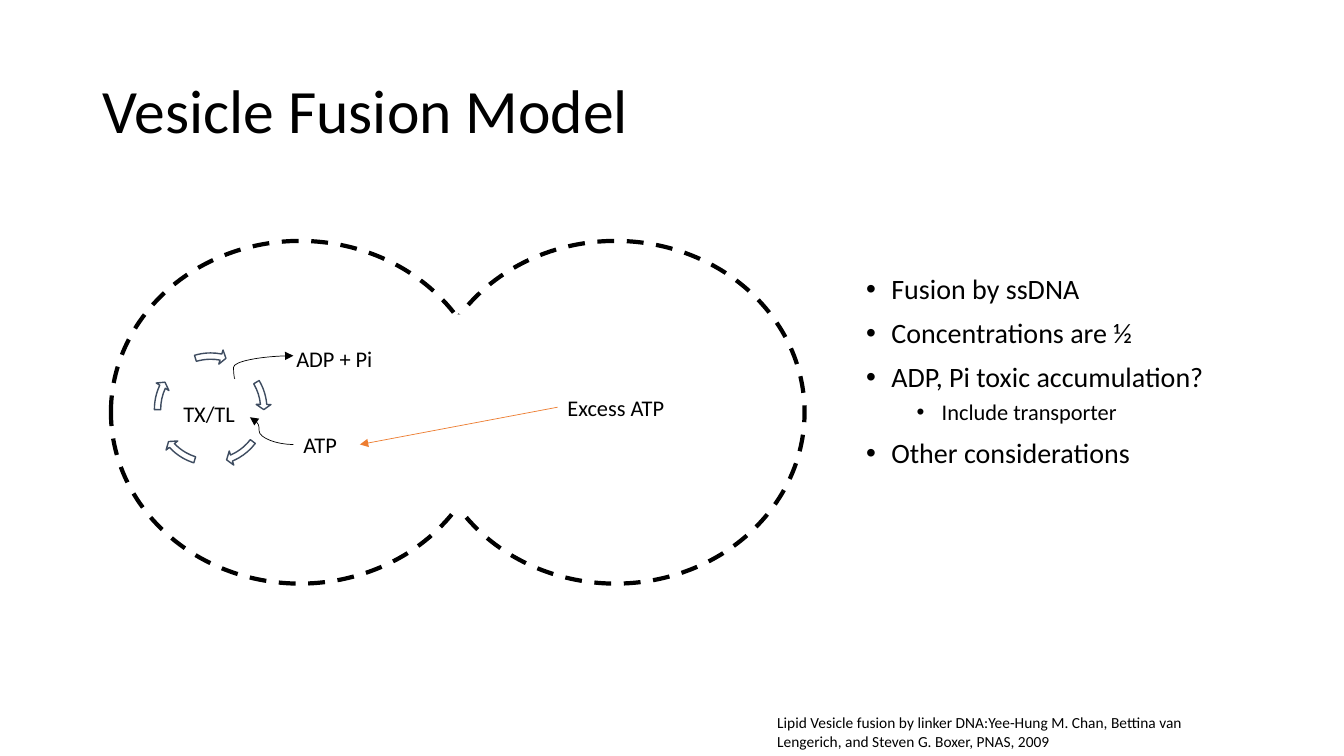
from lxml import etree
from pptx import Presentation
from pptx.dml.color import RGBColor
from pptx.enum.dml import MSO_LINE
from pptx.enum.shapes import MSO_CONNECTOR, MSO_SHAPE
from pptx.enum.text import MSO_ANCHOR, PP_ALIGN
from pptx.oxml.ns import qn
from pptx.util import Inches, Pt

OVAL, RECT, CYCLE_ARROW = MSO_SHAPE.OVAL, MSO_SHAPE.RECTANGLE, MSO_SHAPE.CIRCULAR_ARROW
CURVE, STRAIGHT = MSO_CONNECTOR.CURVE, MSO_CONNECTOR.STRAIGHT
BLACK = RGBColor(0x00, 0x00, 0x00)
WHITE = RGBColor(0xFF, 0xFF, 0xFF)
SLATE = RGBColor(0x3E, 0x4C, 0x60)
ORANGE = RGBColor(0xED, 0x7D, 0x31)

# Content
TITLE = "Vesicle Fusion Model"
BULLETS = [  # text, level
    ("Fusion by ssDNA", 0),
    ("Concentrations are ½", 0),
    ("ADP, Pi toxic accumulation?", 0),
    ("Include transporter", 1),
    ("Other considerations", 0),
]
LEVELS = [  # size, space before, left indent
    (20, 10, 0.25),
    (16, 5, 0.75),
]
LABELS = [  # text, box, size
    ("TX/TL", (1.72, 3.92, 1.11, 0.37), 16),
    ("ADP + Pi", (2.84, 3.38, 1.31, 0.37), 16),
    ("ATP", (2.91, 4.23, 0.66, 0.37), 16),
    ("Excess ATP", (5.53, 3.86, 1.44, 0.37), 16),
    ("Lipid Vesicle fusion by linker DNA:Yee-Hung M. Chan, Bettina van Lengerich, "
     "and Steven G. Boxer, PNAS, 2009", (7.61, 7.03, 4.53, 0.47), 11),
]
VESICLE_LEFTS = (1.1, 4.23)
FUSION_OPENING = (4.15, 3.12, 0.78, 1.93)
CYCLE_BOX = (1.49, 3.46, 1.2, 1.2)
CYCLE_ARCS = [  # end and start angle of each arrow
    (212.94, 197.65), (40.16, 22.52), (82.12, 64.49), (122.99, 107.7), (168.67, 151.98),
]
ARROWS = [  # kind, start and end, colour, bend in 1/100000 of the width
    (CURVE, (2.33, 3.76, 2.91, 3.53), BLACK, -2400),
    (CURVE, (2.91, 4.41, 2.48, 4.14), BLACK, 78900),
    (STRAIGHT, (5.53, 4.04, 3.57, 4.41), ORANGE, None),
]

deck = Presentation()
deck.slide_width, deck.slide_height = Inches(13.33), Inches(7.5)
page = deck.slides.add_slide(deck.slide_layouts[1])


def inches(values):
    return [Inches(value) for value in values]


def place(box, area):
    box.left, box.top, box.width, box.height = inches(area)


def style_font(para, size):
    for name, value in {"name": "Calibri", "size": Pt(size)}.items():
        setattr(para.font, name, value)
    para.font.color.rgb = BLACK


def add_plain_shape(kind, area, fill=None, line=None, width=1):
    shape = page.shapes.add_shape(kind, *inches(area))
    shape.shadow.inherit = False
    if fill is None:
        shape.fill.background()
    else:
        shape.fill.solid()
        shape.fill.fore_color.rgb = fill
    if line is None:
        shape.line.fill.background()
    else:
        shape.line.color.rgb = line
        shape.line.width = Pt(width)
    return shape


# Title
title = page.shapes.title
place(title, (0.92, 0.4, 11.5, 1.45))
title.text_frame.text = TITLE
title.text_frame.vertical_anchor = MSO_ANCHOR.MIDDLE
heading = title.text_frame.paragraphs[0]
heading.alignment, heading.line_spacing = PP_ALIGN.LEFT, 0.9
style_font(heading, 44)

# Bullet list
body = page.placeholders[1]
place(body, (8.49, 2.68, 4.53, 4.42))
for index, (text, level) in enumerate(BULLETS):
    frame = body.text_frame
    para = frame.paragraphs[0] if index == 0 else frame.add_paragraph()
    para.text, para.level, para.line_spacing = text, level, 0.9
    size, before, indent = LEVELS[level]
    para.space_before = Pt(before if index else 0)
    props = para._p.get_or_add_pPr()
    props.set("marL", str(Inches(indent)))
    props.set("indent", str(Inches(-0.25)))
    etree.SubElement(props, qn("a:buFont")).set("typeface", "Arial")
    etree.SubElement(props, qn("a:buChar")).set("char", "•")
    style_font(para, size)

# Two vesicles, opened where they fuse
for left in VESICLE_LEFTS:
    vesicle = add_plain_shape(OVAL, (left, 2.39, 3.75, 3.4), line=BLACK, width=3)
    vesicle.line.dash_style = MSO_LINE.DASH
add_plain_shape(RECT, FUSION_OPENING, fill=WHITE)

# Reaction cycle
for arc_end, arc_start in CYCLE_ARCS:
    arrow = add_plain_shape(CYCLE_ARROW, CYCLE_BOX, fill=WHITE, line=SLATE)
    for index, value in enumerate((0.052, 3.357, arc_end, arc_start, 0.061)):
        arrow.adjustments[index] = value

# Labels and citation
for text, area, size in LABELS:
    label = page.shapes.add_textbox(*inches(area))
    label.text_frame.word_wrap = True
    label.text_frame.text = text
    style_font(label.text_frame.paragraphs[0], size)

# Arrows
for kind, ends, color, bend in ARROWS:
    arrow = page.shapes.add_connector(kind, *inches(ends))
    arrow.line.color.rgb = color
    arrow.line.width = Pt(0.5)
    props = arrow._element.spPr
    etree.SubElement(props.find(qn("a:ln")), qn("a:tailEnd")).set("type", "triangle")
    etree.SubElement(props, qn("a:effectLst"))
    if bend is not None:
        guides = props.find(qn("a:prstGeom")).find(qn("a:avLst"))
        guide = etree.SubElement(guides, qn("a:gd"))
        guide.set("name", "adj1")
        guide.set("fmla", f"val {bend}")

deck.save("out.pptx")
